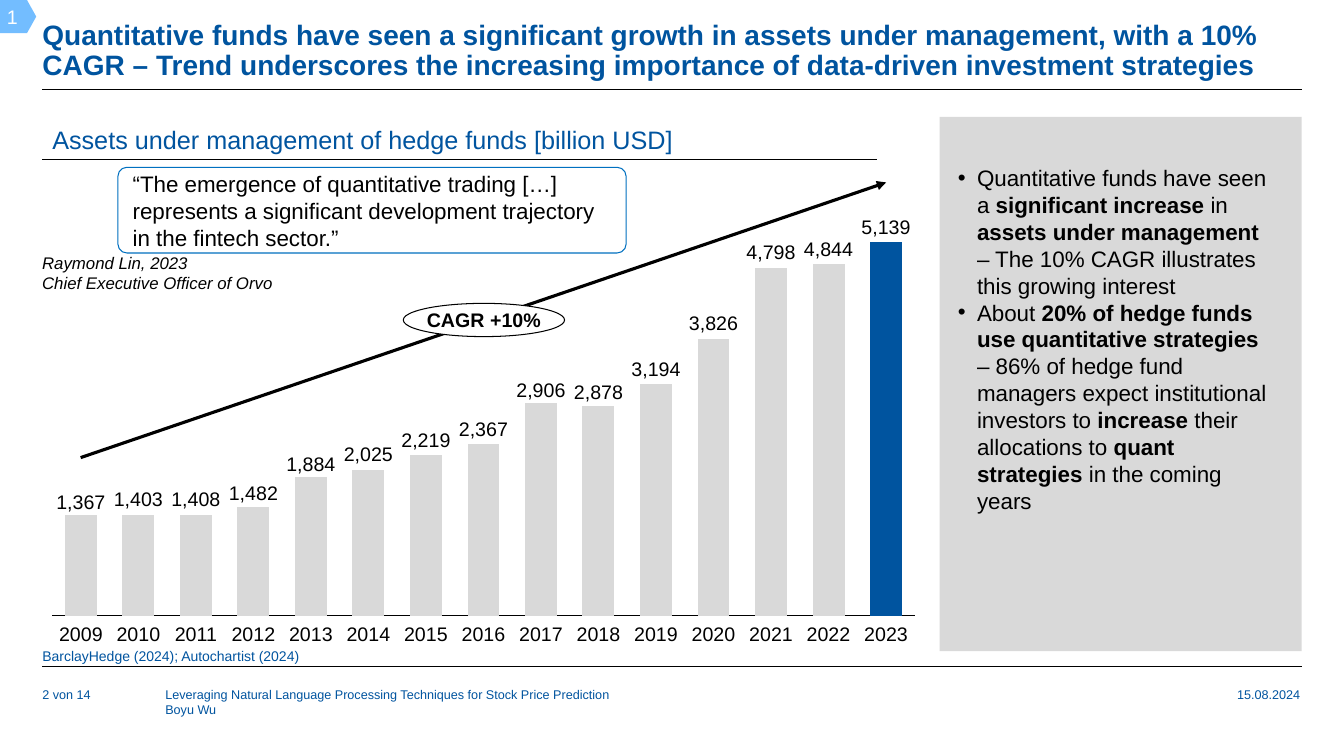
from lxml import etree
from pptx import Presentation
from pptx.chart.data import CategoryChartData
from pptx.dml.color import RGBColor
from pptx.enum.chart import XL_CHART_TYPE, XL_TICK_LABEL_POSITION, XL_TICK_MARK
from pptx.enum.shapes import MSO_CONNECTOR, MSO_SHAPE
from pptx.enum.text import MSO_ANCHOR, MSO_AUTO_SIZE, PP_ALIGN
from pptx.oxml import parse_xml
from pptx.oxml.ns import nsdecls, qn
from pptx.util import Inches, Pt

STACKED = XL_CHART_TYPE.COLUMN_STACKED
NO_LABELS, NO_TICKS = XL_TICK_LABEL_POSITION.NONE, XL_TICK_MARK.NONE
STRAIGHT = MSO_CONNECTOR.STRAIGHT
RECTANGLE, ROUNDED = MSO_SHAPE.RECTANGLE, MSO_SHAPE.ROUNDED_RECTANGLE
OVAL, PENTAGON = MSO_SHAPE.OVAL, MSO_SHAPE.PENTAGON
TOP, MIDDLE, BOTTOM = MSO_ANCHOR.TOP, MSO_ANCHOR.MIDDLE, MSO_ANCHOR.BOTTOM
LEFT, CENTER = PP_ALIGN.LEFT, PP_ALIGN.CENTER
NO_AUTOFIT = MSO_AUTO_SIZE.NONE

BLACK = RGBColor(0x00, 0x00, 0x00)
WHITE = RGBColor(0xFF, 0xFF, 0xFF)
BLUE = RGBColor(0x00, 0x54, 0x9F)
QUOTE_BLUE = RGBColor(0x00, 0x70, 0xC0)
TAG_BLUE = RGBColor(0x73, 0xBD, 0xFF)
GRAY = RGBColor(0xD9, 0xD9, 0xD9)

FONT = "Arial"
NO_INSETS = (0, 0, 0, 0)
TEXT_INSETS = (0.1, 0.05, 0.1, 0.05)
FIRST_YEAR = 2009
ASSETS = [1367, 1403, 1408, 1482, 1884, 2025, 2219, 2367,
          2906, 2878, 3194, 3826, 4798, 4844, 5139]
PLOT = {"x": 0.01, "y": 0.023, "w": 0.979, "h": 0.954}
TITLE = ("Quantitative funds have seen a significant growth in assets under management, "
         "with a 10% CAGR – Trend underscores the increasing importance of data-driven "
         "investment strategies")
QUOTE = ("“The emergence of quantitative trading […] represents a significant development "
         "trajectory in the fintech sector.”")
FINDINGS = [
    [("Quantitative funds have seen a ", False), ("significant increase ", True),
     ("in ", False), ("assets under management ", True),
     ("– The 10% CAGR illustrates this growing interest", False)],
    [("About ", False), ("20% of hedge funds use quantitative strategies ", True),
     ("– 86% of hedge fund managers expect institutional investors to ", False),
     ("increase ", True), ("their allocations to ", False),
     ("quant strategies ", True), ("in the coming years", False)],
]


def write(shape, paragraphs, size, color=BLACK, bold=False, italic=False, align=LEFT,
          anchor=TOP, insets=NO_INSETS, wrap=True, spacing=1.0, bullet=None):
    """Fill a shape with paragraphs, each a string or a list of (text, bold) spans."""
    frame = shape.text_frame
    frame.auto_size = NO_AUTOFIT
    frame.word_wrap = wrap
    frame.vertical_anchor = anchor
    (frame.margin_left, frame.margin_top,
     frame.margin_right, frame.margin_bottom) = map(Inches, insets)
    for index, spans in enumerate(paragraphs):
        para = frame.add_paragraph() if index else frame.paragraphs[0]
        para.alignment = align
        para.line_spacing = spacing
        para.space_before = Pt(0)
        if bullet:
            properties = para._p.get_or_add_pPr()
            properties.set("marL", str(Inches(0.19)))
            properties.set("indent", str(-Inches(0.19)))
            etree.SubElement(properties, qn("a:buChar")).set("char", bullet)
        for text, strong in [(spans, bold)] if isinstance(spans, str) else spans:
            span = para.add_run()
            span.text = text
            span.font.name = FONT
            span.font.size = Pt(size)
            span.font.bold = strong
            span.font.italic = italic
            span.font.color.rgb = color


def place(shape, box):
    """Move a shape to a box given in inches."""
    shape.left, shape.top, shape.width, shape.height = map(Inches, box)


def add_text(page, box, paragraphs, size, **style):
    """Add a text box."""
    write(page.shapes.add_textbox(*map(Inches, box)), paragraphs, size, **style)


def add_shape(page, kind, box, fill=None, line=None):
    """Add a flat shape with an optional fill and outline."""
    shape = page.shapes.add_shape(kind, *map(Inches, box))
    shape.shadow.inherit = False
    if fill is None:
        shape.fill.background()
    else:
        shape.fill.solid()
        shape.fill.fore_color.rgb = fill
    if line is None:
        shape.line.fill.background()
    else:
        shape.line.color.rgb = line
        shape.line.width = Pt(0.75)
    return shape


def add_line(page, start, end, width=0.5, arrow=False):
    """Add a straight black line, with an arrowhead at its end if wanted."""
    line = page.shapes.add_connector(STRAIGHT, *map(Inches, start + end))
    line.line.color.rgb = BLACK
    line.line.width = Pt(width)
    if arrow:
        etree.SubElement(line.line._get_or_add_ln(), qn("a:tailEnd")).set("type", "triangle")
    etree.SubElement(line._element.spPr, qn("a:effectLst"))


def add_header(page, box):
    """Place the title, the rule under it and the numbered tag."""
    left, top, width, height = box
    place(page.shapes.title, box)
    write(page.shapes.title, [TITLE], 20, color=BLUE, bold=True, anchor=BOTTOM, spacing=0.9)
    rule = top + height + 0.08
    add_line(page, (left, rule), (left + width, rule))
    tag = add_shape(page, PENTAGON, (0, 0, 0.36, 0.33), fill=TAG_BLUE)
    tag.adjustments[0] = 0.279
    write(tag, ["1"], 14, color=WHITE, align=CENTER, anchor=MIDDLE, insets=(0.01, 0, 0.08, 0))


def add_footer(page, box):
    """Place the source, the rule, the page count, the talk and the date."""
    left, top, width, height = box
    add_text(page, (left, top, 6.11, 0.18), ["BarclayHedge (2024); Autochartist (2024)"],
             10, color=BLUE)
    add_line(page, (left, top + 0.19), (left + width, top + 0.19))
    talk = ["Leveraging Natural Language Processing Techniques for Stock Price Prediction",
            "Boyu Wu"]
    for offset, field_width, lines in [(0, 1.07, ["2 von 14"]), (1.22, 6.2, talk),
                                       (11.85, 1.06, ["15.08.2024"])]:
        add_text(page, (left + offset, top + 0.39, field_width, height - 0.39), lines,
                 9, color=BLUE)


def add_columns(page, box):
    """Draw the column chart, scaled to the highest year, with its values and years."""
    left, top, width, height = box
    peak = max(ASSETS)
    data = CategoryChartData()
    data.categories = [str(FIRST_YEAR + index) for index in range(len(ASSETS))]
    data.add_series("Series 1", [round(100 * value / peak) for value in ASSETS])
    chart = page.shapes.add_chart(STACKED, *map(Inches, box), data).chart
    chart.has_legend = chart.has_title = False
    chart.font.name, chart.font.size = FONT, Pt(10)
    chart.font.color.rgb = BLACK
    years, scale = chart.category_axis, chart.value_axis
    years.tick_label_position = NO_LABELS
    years.major_tick_mark = NO_TICKS
    years.format.line.color.rgb = BLACK
    years.format.line.width = Pt(0.75)
    scale.minimum_scale, scale.maximum_scale = 0, 100
    scale.has_major_gridlines = scale.visible = False
    plot = chart.plots[0]
    plot.gap_width, plot.overlap = 80, 100
    plot.vary_by_categories = False
    series = plot.series[0]
    for item, color in [(series, GRAY), (series.points[len(ASSETS) - 1], BLUE)]:
        item.format.fill.solid()
        item.format.fill.fore_color.rgb = color
    area = chart._chartSpace.chart.plotArea
    for old in area.findall(qn("c:layout")):
        area.remove(old)
    sides = "".join(f'<c:{key} val="{value}"/>' for key, value in PLOT.items())
    area.insert(0, parse_xml(
        f'<c:layout {nsdecls("c")}><c:manualLayout><c:layoutTarget val="inner"/>'
        f'<c:xMode val="edge"/><c:yMode val="edge"/>{sides}</c:manualLayout></c:layout>'))

    step = PLOT["w"] * width / len(ASSETS)
    base = top + (PLOT["y"] + PLOT["h"]) * height
    for index, value in enumerate(ASSETS):
        center = left + PLOT["x"] * width + (index + 0.5) * step
        bar_top = base - PLOT["h"] * height * value / peak
        add_text(page, (center - 0.27, bar_top - 0.24, 0.54, 0.21), [f"{value:,}"], 14,
                 align=CENTER, anchor=BOTTOM, insets=(0.03, 0, 0.03, 0), wrap=False, spacing=0.9)
        add_text(page, (center - 0.22, base + 0.06, 0.44, 0.23), [str(FIRST_YEAR + index)], 14,
                 align=CENTER, wrap=False)


def add_growth(page, box):
    """Place the chart with its heading, growth arrow and quote."""
    left, top, width, height = box
    heading = add_shape(page, RECTANGLE, (left, top, 7.29, 0.39), fill=WHITE)
    write(heading, ["Assets under management of hedge funds [billion USD]"], 18, color=BLUE,
          anchor=MIDDLE, insets=TEXT_INSETS)
    add_line(page, (left, top + 0.39), (left + 8.28, top + 0.39))
    add_columns(page, (left + 0.01, top + 1.12, width - 0.01, height - 1.12))
    add_line(page, (left + 0.38, top + 3.35), (left + 8.37, top + 0.62), width=2.25, arrow=True)
    rate = add_shape(page, OVAL, (left + 3.58, top + 1.82, 1.6, 0.33), fill=WHITE, line=BLACK)
    write(rate, ["CAGR +10%"], 14, bold=True, align=CENTER, anchor=MIDDLE, wrap=False)
    quote = add_shape(page, ROUNDED, (left + 0.75, top + 0.47, 5.04, 0.85), line=QUOTE_BLUE)
    quote.adjustments[0] = 0.104
    write(quote, [QUOTE], 16, insets=(0.12, 0, 0.12, 0.05))
    add_text(page, (left - 0.1, top + 1.27, 2.67, 0.5),
             ["Raymond Lin, 2023", "Chief Executive Officer of Orvo"], 12, italic=True,
             insets=TEXT_INSETS)


def add_findings(page, box):
    """Place the gray panel and its bulleted list."""
    left, top, width, height = box
    panel = add_shape(page, RECTANGLE, box, fill=GRAY)
    body = page.placeholders[1]
    place(body, (left + 0.08, top + 0.42, width - 0.23, height - 0.54))
    write(body, FINDINGS, 16, insets=TEXT_INSETS, bullet="•")
    body._element.addprevious(panel._element)


def main():
    """Build the deck and save it."""
    deck = Presentation()
    deck.slide_width, deck.slide_height = Inches(13.33), Inches(7.5)
    page = deck.slides.add_slide(deck.slide_layouts[1])
    add_header(page, (0.42, 0.22, 12.49, 0.59))
    add_growth(page, (0.42, 1.19, 8.75, 5.01))
    add_findings(page, (9.32, 1.16, 3.59, 5.3))
    add_footer(page, (0.42, 6.42, 12.49, 1.08))
    deck.save("out.pptx")


if __name__ == "__main__":
    main()
